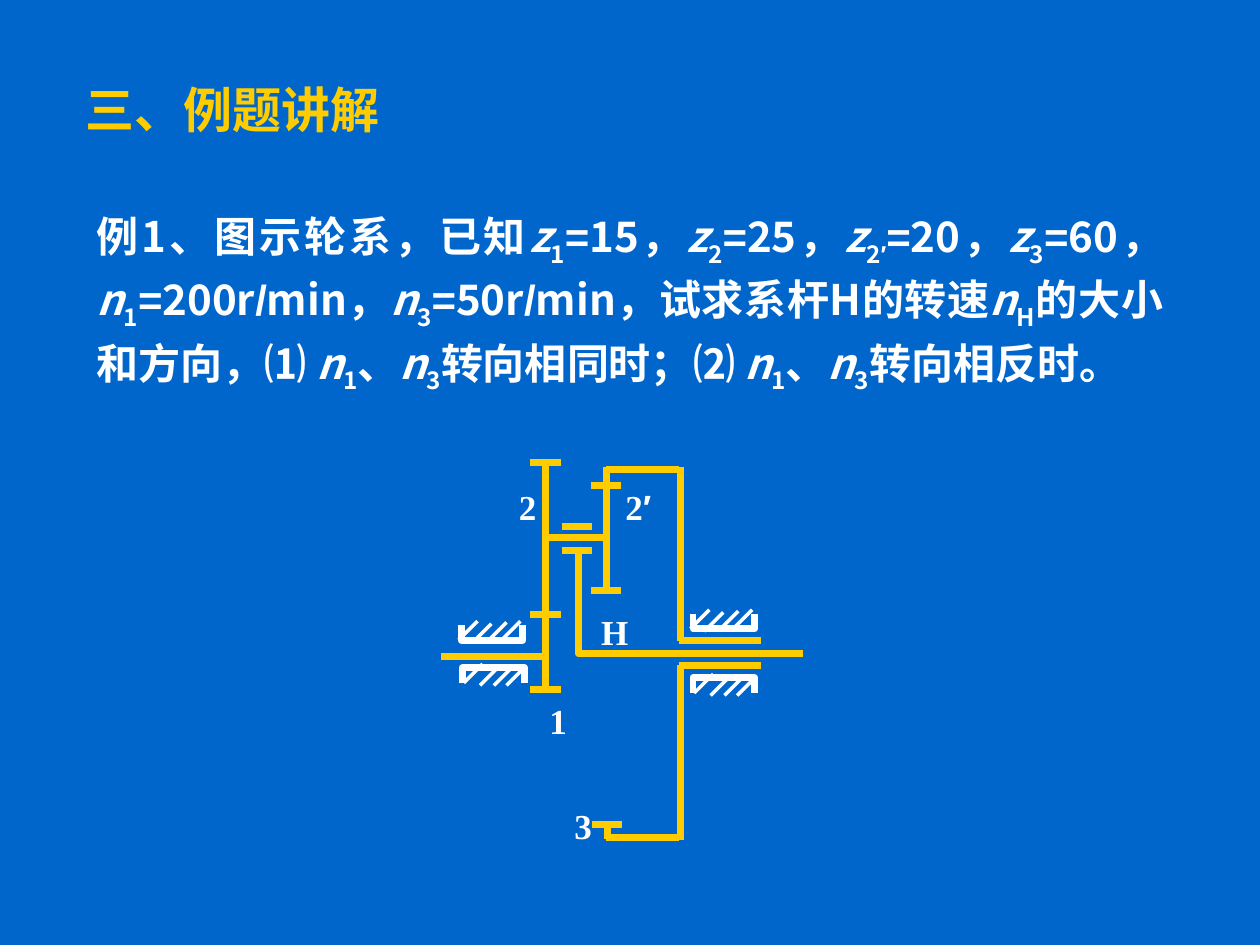
import pptx
import pptx.util
import pptx.dml.color
import pptx.enum.shapes
import pptx.enum.text
from lxml import etree
from pptx.util import Inches

RGBColor = pptx.dml.color.RGBColor
BLUE = RGBColor(0x00, 0x66, 0xCC)
GOLD = RGBColor(0xFF, 0xCC, 0x00)
WHITE = RGBColor(0xFF, 0xFF, 0xFF)
NOTO = "Noto Sans CJK SC"
SERIF = "Times New Roman"
SANS = "Arial"
SPACE = "{http://schemas.openxmlformats.org/drawingml/2006/main}"
ALIGN = pptx.enum.text.PP_ALIGN
ANCHOR = pptx.enum.text.MSO_ANCHOR

PROBLEM = (
    "例1、图示轮系，已知|~z|_1|=|15，|~z|_2|=|25，|~z|_2|_′|=|20，|~z|_3|=|60，"
    "|~n|_1|=|200r|/|min，|~n|_3|=|50r|/|min，试求系杆H的转速|~n|_H"
    "|的大小和方向，⑴ |~n|_1|、|~n|_3|转向相同时；⑵ |~n|_1|、|~n|_3|转向相反时。"
)

LABELS = [
    ("3", 4.46, 6.33, 0.33),
    ("H", 4.55, 4.79, 0.66),
    ("1", 4.21, 5.5, 0.44),
    ("2", 4.02, 3.8, 0.33),
    ("2|′", 4.74, 3.8, 0.65),
]

TEETH = [
    (4.33, 3.67), (4.33, 4.88), (4.33, 5.47),
    (4.81, 3.85), (4.81, 4.69), (4.82, 6.54),
    (4.58, 4.18), (4.58, 4.37),
]

SHAFTS = [
    (3.5, 5.21, 4.33, 5.21),
    (4.33, 3.67, 4.33, 4.87),
    (4.33, 4.89, 4.33, 5.47),
    (4.33, 4.27, 4.83, 4.27),
    (4.81, 4.71, 4.81, 3.71),
    (4.82, 6.54, 4.82, 6.66),
    (4.81, 6.65, 5.39, 6.65),
    (4.81, 3.73, 5.39, 3.73),
    (5.4, 3.71, 5.4, 5.09),
    (5.4, 5.28, 5.4, 6.67),
    (5.39, 5.28, 6.04, 5.28),
    (5.39, 5.08, 6.04, 5.08),
]

ARM = [(4.59, 4.37), (4.59, 5.19), (6.37, 5.19)]
UPPER = [(0.13, -0.03), (0.24, -0.01), (0.36, -0.02), (0.47, -0.03)]
LOWER = [(0.01, 0.12), (0.14, 0.14), (0.25, 0.14), (0.35, 0.14)]


class Board:
    def __init__(self, deck):
        self.slide = deck.slides.add_slide(deck.slide_layouts[5])
        self.shapes = self.slide.shapes
        fill = self.slide.background.fill
        fill.solid()
        fill.fore_color.rgb = BLUE

    def place(self, shape, left, top, width, height):
        shape.left, shape.top = Inches(left), Inches(top)
        shape.width, shape.height = Inches(width), Inches(height)

    def style(self, shape, text, size, name, color, align, anchor):
        frame = shape.text_frame
        frame.word_wrap = True
        frame.auto_size = pptx.enum.text.MSO_AUTO_SIZE.NONE
        frame.vertical_anchor = anchor
        para = frame.paragraphs[0]
        para.alignment = align
        para.space_before = pptx.util.Pt(0)
        font = para.font
        font.size = pptx.util.Pt(size)
        font.bold = True
        font.color.rgb = color
        font.name = name
        latin = para._p.find(f".//{SPACE}latin")
        latin.addnext(etree.Element(SPACE + "ea", typeface=NOTO))
        for part in text.split("|"):
            run = para.add_run()
            run.text = part.lstrip("~_")
            if part.startswith("~"):
                run.font.italic = True
            if part.startswith("_"):
                run.font._element.set("baseline", "-25000")
            if run.text in "=/′":
                run.font.name = SANS
        return para

    def title(self, text, *box):
        shape = self.shapes.title
        self.place(shape, *box)
        self.style(shape, text, 28, SANS, GOLD, ALIGN.LEFT, ANCHOR.MIDDLE)

    def text(self, text, box, size, name, align, anchor):
        shape = self.shapes.add_textbox(*map(Inches, box))
        return self.style(shape, text, size, name, WHITE, align, anchor)

    def line(self, x1, y1, x2, y2, color=GOLD, width=4):
        kind = pptx.enum.shapes.MSO_CONNECTOR.STRAIGHT
        line = self.shapes.add_connector(kind, *map(Inches, (x1, y1, x2, y2)))
        line.line.color.rgb = color
        line.line.width = pptx.util.Pt(width)
        etree.SubElement(line._element.spPr, SPACE + "effectLst")

    def bend(self, points, color):
        spots = [(Inches(x), Inches(y)) for x, y in points]
        form = self.shapes.build_freeform(*spots[0])
        form.add_line_segments(spots[1:], close=False)
        shape = form.convert_to_shape()
        shape.shadow.inherit = False
        shape.fill.background()
        shape.line.color.rgb = color
        shape.line.width = pptx.util.Pt(4)

    def mount(self, x, y, upper):
        edge, base = (y, y + 0.12) if upper else (y + 0.12, y)
        right = x + 0.49
        self.bend([(x, edge), (x, base), (right, base), (right, edge)], WHITE)
        step = -0.15 if upper else 0.15
        for dx, dy in UPPER if upper else LOWER:
            self.line(x + dx, y + dy, x + dx + step, y + dy - step, WHITE, 2)


def main():
    deck = pptx.Presentation()
    deck.slide_width, deck.slide_height = Inches(10), Inches(7.5)
    board = Board(deck)
    board.title("三、例题讲解", 0.58, 0.58, 6.33, 0.57)
    body = board.text(PROBLEM, (0.67, 1.58, 8.66, 1.67), 24, NOTO,
                      ALIGN.JUSTIFY, ANCHOR.TOP)
    body.line_spacing = 1.1
    for text, left, top, width in LABELS:
        board.text(text, (left, top, width, 0.44), 20, SERIF,
                   ALIGN.CENTER, ANCHOR.MIDDLE)
    for x, y, upper in [(5.5, 4.87, True), (5.5, 5.38, False),
                        (3.66, 4.96, True), (3.67, 5.3, False)]:
        board.mount(x, y, upper)
    for x, y in TEETH:
        board.line(x - 0.12, y, x + 0.12, y)
    for shaft in SHAFTS:
        board.line(*shaft)
    board.bend(ARM, GOLD)
    deck.save("out.pptx")


if __name__ == "__main__":
    main()
